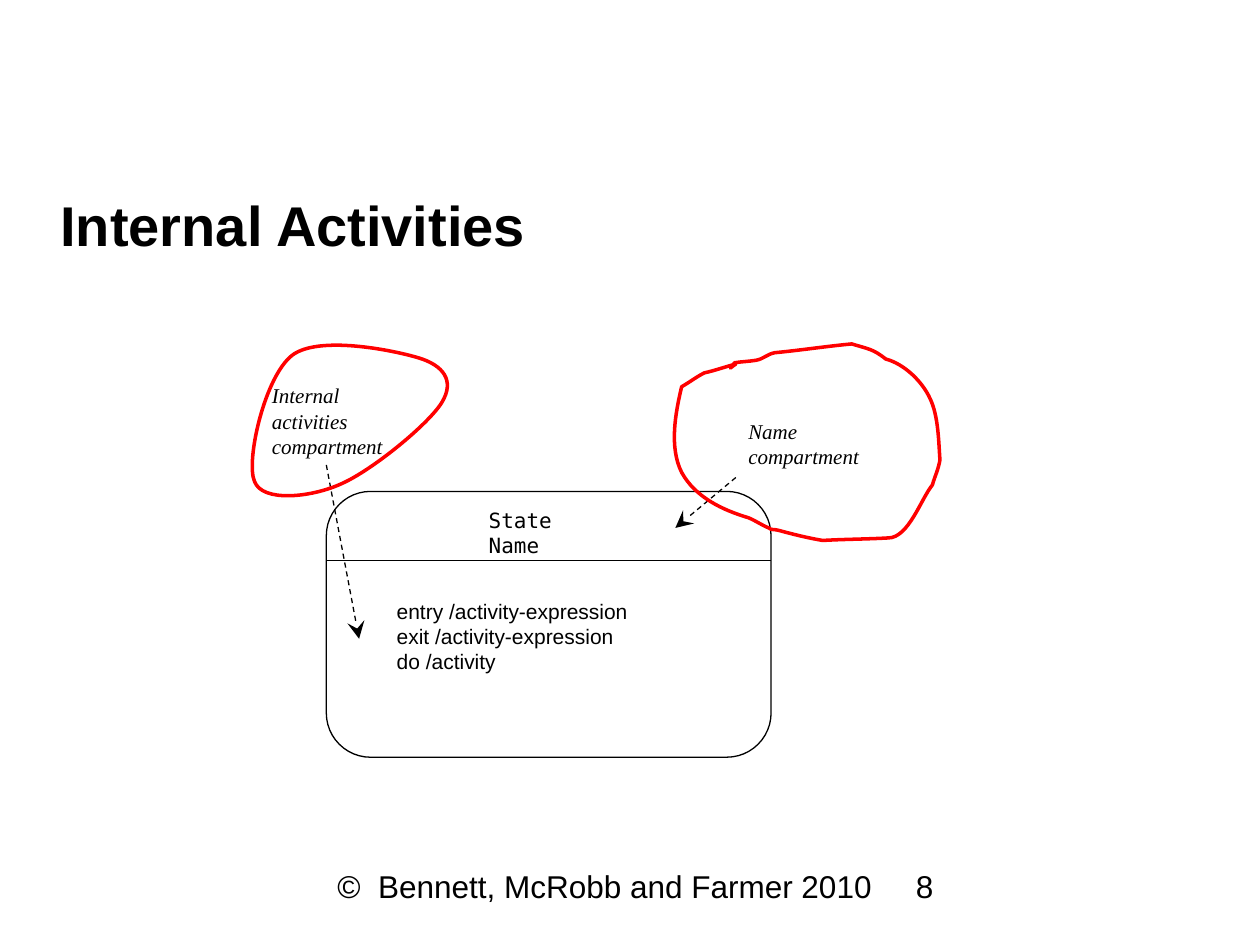
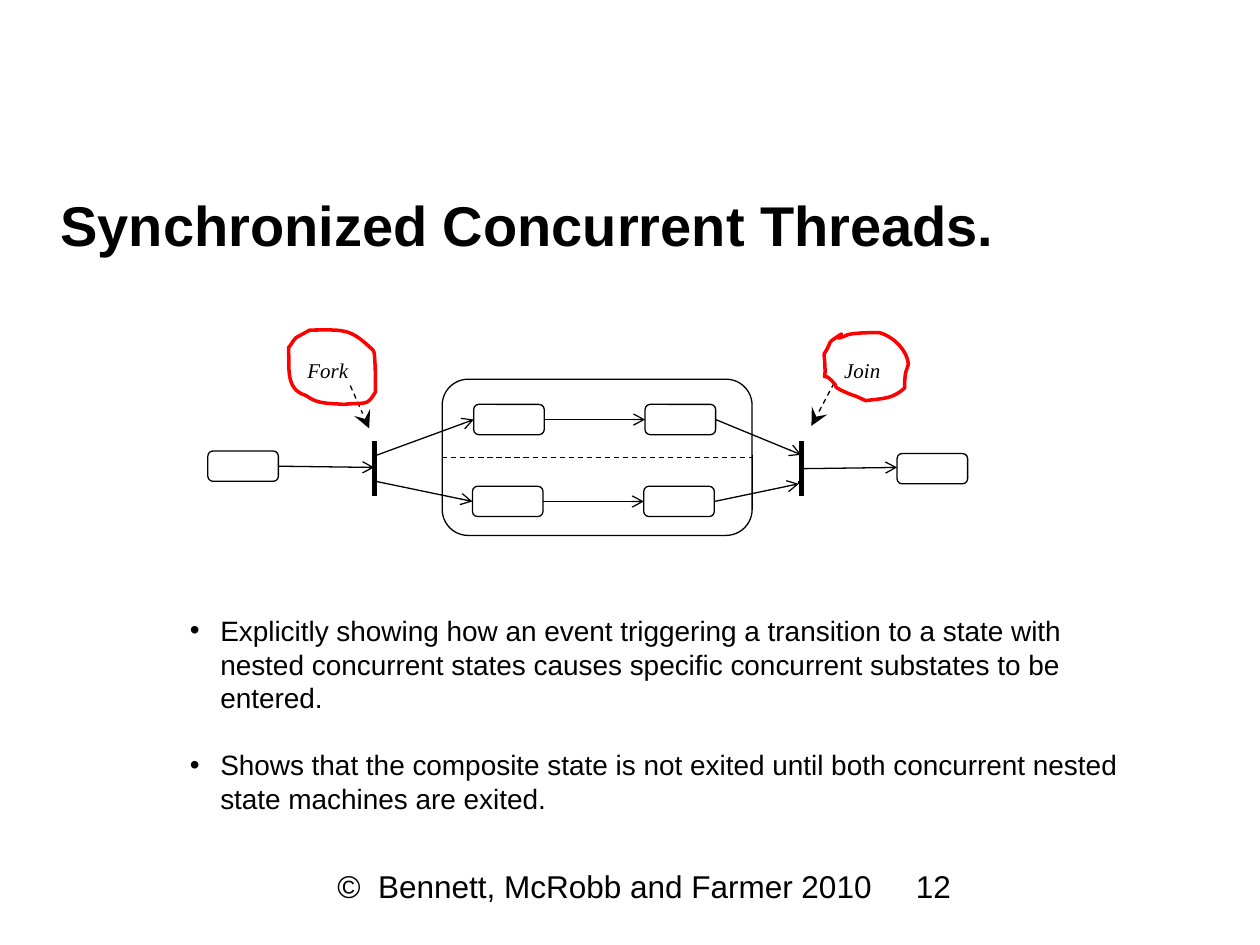
import dataclasses
import typing

import lxml.etree
import pptx
import pptx.dml.color
import pptx.enum.dml
import pptx.enum.shapes
import pptx.enum.text
import pptx.oxml.ns
import pptx.util

Inches = pptx.util.Inches
Pt = pptx.util.Pt
qn = pptx.oxml.ns.qn

COLOURS = {"ink": "000000", "mark": "FF0000"}
SANS, SERIF, MONO = "Arial", "Times New Roman", "DejaVu Sans Mono"
COPYRIGHT = "©  Bennett, McRobb and Farmer 2010"
THIN, BAR, MARKER = 0.75, 3, 2
HEAD_SIZES = {"arrow": "med", "stealth": "lg"}

Point = tuple[float, float]


def colour(name: str) -> pptx.dml.color.RGBColor:
    return pptx.dml.color.RGBColor.from_string(COLOURS[name])


@dataclasses.dataclass
class Label:
    """A block of text; all its paragraphs look alike."""
    left: float
    top: float
    width: float
    height: float
    lines: list[str]
    size: float = 12
    font: str = SANS
    italic: bool = False
    inset: bool = True
    bullets: bool = False


@dataclasses.dataclass
class State:
    """A rounded box of a state machine."""
    left: float
    top: float
    width: float = 0.56
    height: float = 0.24


@dataclasses.dataclass
class Link:
    """A straight line, with an arrowhead at its end if one is named."""
    start: Point
    end: Point
    head: typing.Optional[str] = None
    dashed: bool = False
    weight: float = THIN


@dataclasses.dataclass
class Loop:
    """A closed hand-drawn outline; each curve is two controls and an end."""
    start: Point
    curves: list[tuple[float, float, float, float, float, float]]


def style_font(font, size: float, name: str, bold=False, italic=False) -> None:
    font.size = Pt(size)
    font.name = name
    font.bold = bold
    font.italic = italic
    font.color.rgb = colour("ink")


def style_outline(shape, colour_name: str, weight: float) -> None:
    shape.shadow.inherit = False
    shape.fill.background()
    shape.line.color.rgb = colour(colour_name)
    shape.line.width = Pt(weight)


def add_bullet(paragraph) -> None:
    properties = paragraph._p.get_or_add_pPr()
    properties.set("marL", str(Inches(0.24)))
    properties.set("indent", str(-Inches(0.24)))
    lxml.etree.SubElement(properties, qn("a:buFont")).set("typeface", SANS)
    lxml.etree.SubElement(properties, qn("a:buChar")).set("char", "•")


def draw_label(slide, label: Label) -> None:
    shape = slide.shapes.add_textbox(
        Inches(label.left), Inches(label.top), Inches(label.width), Inches(label.height))
    frame = shape.text_frame
    frame.word_wrap = True
    if not label.inset:
        frame.margin_left = frame.margin_right = 0
        frame.margin_top = frame.margin_bottom = 0
    frame.text = "\n".join(label.lines)
    for index, paragraph in enumerate(frame.paragraphs):
        if label.bullets:
            paragraph.space_before = Pt(19.2 if index else 0)
            add_bullet(paragraph)
        style_font(paragraph.font, label.size, label.font, italic=label.italic)


def draw_state(slide, state: State) -> None:
    shape = slide.shapes.add_shape(
        pptx.enum.shapes.MSO_SHAPE.ROUNDED_RECTANGLE,
        Inches(state.left), Inches(state.top), Inches(state.width), Inches(state.height))
    style_outline(shape, "ink", THIN)


def draw_link(slide, link: Link) -> None:
    connector = slide.shapes.add_connector(
        pptx.enum.shapes.MSO_CONNECTOR.STRAIGHT,
        *(Inches(value) for value in link.start + link.end))
    connector.line.color.rgb = colour("ink")
    connector.line.width = Pt(link.weight)
    if link.dashed:
        connector.line.dash_style = pptx.enum.dml.MSO_LINE.DASH
    properties = connector._element.spPr
    if link.head:
        head = lxml.etree.SubElement(properties.find(qn("a:ln")), qn("a:tailEnd"))
        head.set("type", link.head)
        head.set("w", HEAD_SIZES[link.head])
        head.set("len", HEAD_SIZES[link.head])
    lxml.etree.SubElement(properties, qn("a:effectLst"))


def draw_loop(slide, loop: Loop) -> None:
    builder = slide.shapes.build_freeform(Inches(loop.start[0]), Inches(loop.start[1]))
    for curve in loop.curves:
        corners = zip(curve[::2], curve[1::2])
        builder.add_line_segments([(Inches(x), Inches(y)) for x, y in corners], close=False)
    builder.add_line_segments([], close=True)
    shape = builder.convert_to_shape()
    # Join every three straight segments into one Bezier curve
    segments = list(shape._element.iter(qn("a:lnTo")))
    for index in range(0, len(segments), 3):
        first, *others = segments[index:index + 3]
        first.tag = qn("a:cubicBezTo")
        for segment in others:
            first.append(segment[0])
            segment.getparent().remove(segment)
    style_outline(shape, "mark", MARKER)


DRAWERS = {Label: draw_label, State: draw_state, Link: draw_link, Loop: draw_loop}


def add_slide(presentation, title: str, number: int, parts: list) -> None:
    slide = presentation.slides.add_slide(presentation.slide_layouts[5])

    # Title
    shape = slide.shapes.title
    shape.left, shape.top = Inches(0.38), Inches(1.4)
    shape.width, shape.height = Inches(9.24), Inches(0.76)
    frame = shape.text_frame
    frame.text = title
    frame.auto_size = pptx.enum.text.MSO_AUTO_SIZE.NONE
    frame.vertical_anchor = pptx.enum.text.MSO_ANCHOR.MIDDLE
    paragraph = frame.paragraphs[0]
    paragraph.alignment = pptx.enum.text.PP_ALIGN.LEFT
    style_font(paragraph.font, 32, SANS, bold=True)

    # Footer, then the diagram
    footer = [Label(2.58, 6.83, 4.83, 0.5, [COPYRIGHT], 18),
              Label(7.17, 6.83, 2.08, 0.5, [str(number)], 18)]
    for part in footer + parts:
        DRAWERS[type(part)](slide, part)


# Internal activities: one state with two compartments
internal_activities = [
    State(2.59, 3.9, 3.53, 2.11),
    Link((2.59, 4.45), (6.12, 4.45)),
    Label(3.78, 3.98, 1.08, 0.3, ["State Name"], font=MONO),
    Label(3.05, 4.7, 2.31, 0.7, ["entry /activity-expression",
                                 "exit /activity-expression",
                                 "do /activity"]),
    Label(5.84, 3.27, 1.11, 0.5, ["Name compartment"], font=SERIF, italic=True),
    Label(2.06, 2.99, 1.11, 0.7, ["Internal activities compartment"],
          font=SERIF, italic=True),
    Link((2.59, 3.69), (2.85, 5.07), "stealth", dashed=True),
    Link((5.84, 3.79), (5.36, 4.19), "stealth", dashed=True),
    Loop((2.32, 2.82), [
        (2.1, 2.99, 1.95, 3.66, 2.02, 3.82), (2.08, 3.99, 2.47, 3.95, 2.71, 3.84),
        (2.96, 3.73, 3.41, 3.36, 3.51, 3.19), (3.61, 3.02, 3.52, 2.9, 3.32, 2.84),
        (3.12, 2.78, 2.53, 2.66, 2.32, 2.82)]),
    Loop((5.84, 2.89), [
        (5.76, 2.91, 5.68, 2.94, 5.59, 2.96), (5.53, 2.99, 5.48, 3.03, 5.41, 3.07),
        (5.36, 3.28, 5.31, 3.55, 5.41, 3.75), (5.52, 3.95, 5.74, 4.05, 5.94, 4.11),
        (5.99, 4.13, 6.05, 4.17, 6.1, 4.19), (6.12, 4.21, 6.15, 4.2, 6.18, 4.21),
        (6.29, 4.24, 6.41, 4.27, 6.53, 4.29), (6.7, 4.28, 6.88, 4.28, 7.05, 4.27),
        (7.21, 4.27, 7.31, 3.96, 7.4, 3.85), (7.42, 3.78, 7.45, 3.72, 7.46, 3.65),
        (7.45, 3.52, 7.45, 3.3, 7.38, 3.16), (7.32, 3.03, 7.18, 2.89, 7.03, 2.85),
        (6.93, 2.77, 6.89, 2.77, 6.76, 2.73), (6.55, 2.75, 6.36, 2.78, 6.15, 2.8),
        (6.09, 2.81, 6.06, 2.85, 6, 2.86), (5.94, 2.87, 5.89, 2.87, 5.83, 2.88),
        (5.79, 2.94, 5.78, 2.93, 5.84, 2.89)]),
]

# Concurrent threads: two rows of states between a fork and a join
FORK, JOIN = 2.97, 6.36
threads = [
    Label(1.41, 4.82, 7.6, 1.7, [
        "Explicitly showing how an event triggering a transition to a state with nested "
        "concurrent states causes specific concurrent substates to be entered.",
        "Shows that the composite state is not exited until both concurrent nested "
        "state machines are exited."], 16, bullets=True),
    State(3.51, 3.01, 2.46, 1.24),
    Link((3.51, 3.63), (5.97, 3.63), dashed=True),
    State(1.65, 3.58),
    State(7.12, 3.6),
    Link((2.21, 3.7), (FORK, 3.71), "arrow"),
    Link((JOIN, 3.72), (7.12, 3.71), "arrow"),
]
# Each bar is two halves
for bar in (FORK, JOIN):
    for top, bottom in ((3.5, 3.72), (3.72, 3.94)):
        threads.append(Link((bar, top), (bar, bottom), weight=BAR))
# Short stubs where the threads meet the bars
for x, y in ((FORK, 3.6), (2.98, 3.82), (JOIN, 3.61), (6.34, 3.82)):
    threads.append(Link((x, y), (x, y + 0.02)))
for left, top, fork_end, join_end in (
        (3.76, 3.21, (FORK, 3.62), (JOIN, 3.61)),
        (3.75, 3.86, (2.98, 3.82), (6.34, 3.84))):
    first, second = State(left, top), State(left + 1.36, top)
    middle = top + first.height / 2
    threads += [
        first, second,
        Link(fork_end, (first.left, middle), "arrow"),
        Link((first.left + first.width, middle), (second.left, middle), "arrow"),
        Link((second.left + second.width, middle), join_end, "arrow"),
    ]
for word, left, start, end in (
        ("Fork", 2.44, (2.78, 3.06), (2.93, 3.4)),
        ("Join", 6.7, (6.62, 3.04), (6.44, 3.38))):
    threads += [
        Label(left, 2.84, 0.36, 0.2, [word], font=SERIF, italic=True, inset=False),
        Link(start, end, "stealth", dashed=True),
    ]
threads += [
    Loop((2.46, 2.62), [
        (2.44, 2.63, 2.37, 2.67, 2.35, 2.68), (2.32, 2.71, 2.31, 2.74, 2.29, 2.76),
        (2.3, 2.92, 2.26, 3.09, 2.43, 3.14), (2.52, 3.21, 2.61, 3.2, 2.73, 3.21),
        (2.91, 3.19, 2.91, 3.23, 2.98, 3.11), (2.98, 3.01, 2.98, 2.9, 2.97, 2.8),
        (2.97, 2.78, 2.95, 2.77, 2.94, 2.76), (2.77, 2.6, 2.72, 2.62, 2.46, 2.62)]),
    Loop((6.68, 2.65), [
        (6.54, 2.74, 6.62, 2.69, 6.54, 2.81), (6.57, 3.11, 6.5, 2.92, 6.6, 3.02),
        (6.67, 3.09, 6.59, 3.05, 6.68, 3.1), (6.71, 3.11, 6.74, 3.13, 6.78, 3.14),
        (6.81, 3.15, 6.87, 3.18, 6.87, 3.18), (7.01, 3.16, 7.08, 3.17, 7.18, 3.08),
        (7.18, 3.04, 7.18, 2.99, 7.19, 2.95), (7.19, 2.93, 7.21, 2.91, 7.21, 2.89),
        (7.2, 2.78, 7.09, 2.67, 6.98, 2.64), (6.91, 2.64, 6.84, 2.64, 6.76, 2.65),
        (6.74, 2.65, 6.72, 2.66, 6.7, 2.67), (6.68, 2.67, 6.66, 2.69, 6.65, 2.68),
        (6.64, 2.67, 6.67, 2.66, 6.68, 2.65)]),
]

# Build the presentation
presentation = pptx.Presentation()
presentation.slide_width, presentation.slide_height = Inches(10), Inches(7.5)
add_slide(presentation, "Internal Activities", 8, internal_activities)
add_slide(presentation, "Synchronized Concurrent Threads.", 12, threads)
presentation.save("out.pptx")
